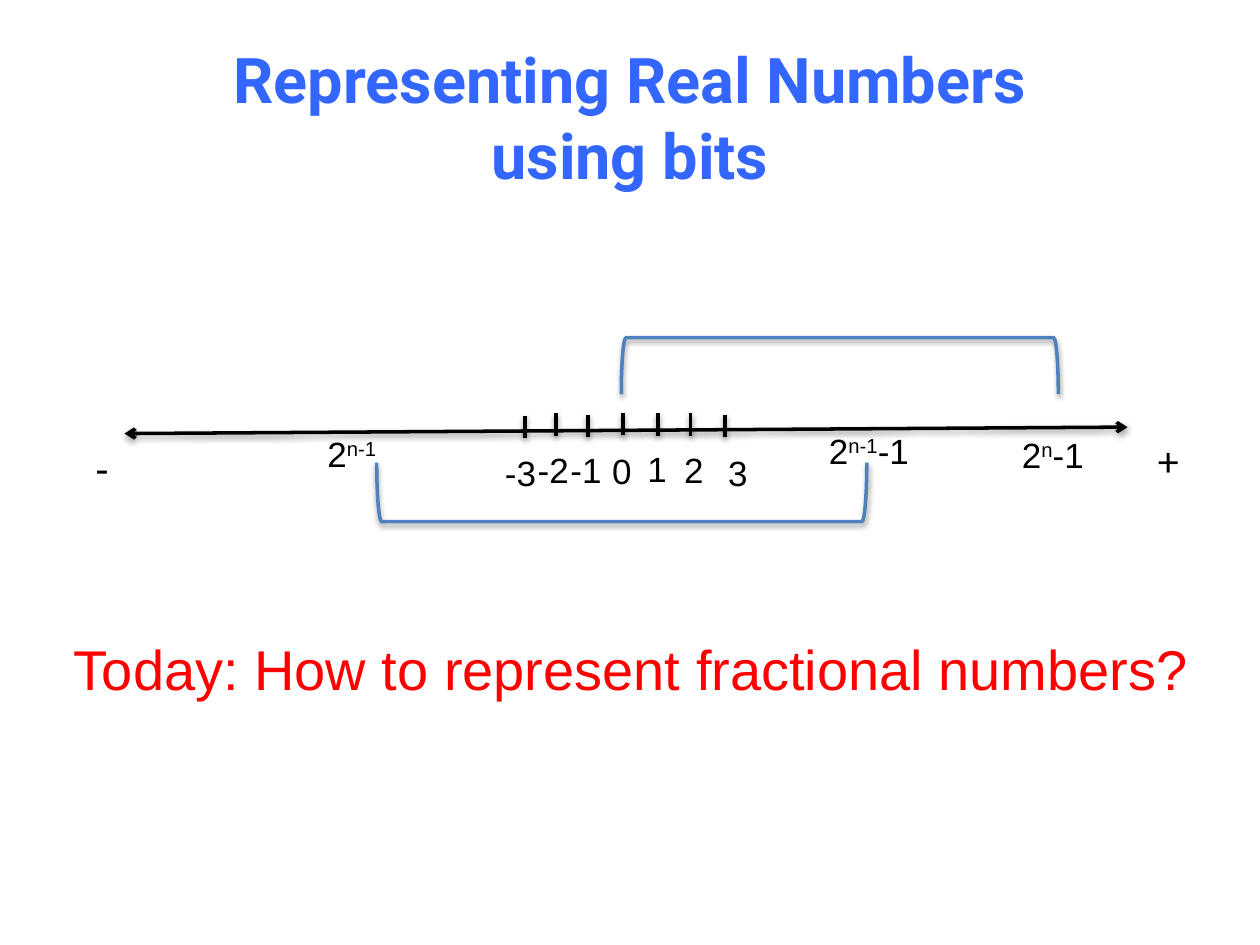
"""Build a slide showing integer ranges on a number line."""
from lxml.etree import SubElement as Sub
from pptx import Presentation
from pptx.dml.color import RGBColor as Rgb
from pptx.enum.shapes import MSO_CONNECTOR as Link, MSO_SHAPE as Form
from pptx.enum.text import MSO_ANCHOR as Anchor, PP_ALIGN as Align
from pptx.oxml.ns import qn
from pptx.util import Cm, Pt

BLACK, BLUE, RED, STEEL = "000000", "3366FF", "FF0000", "4F81BD"
TITLE = "Representing Real Numbers\vusing bits"
TODAY = "Today: How to represent fractional numbers?"
AXIS = (2.51, 8.74, 22.73, 8.61)
TICK = 0.45
ROW = 1.12

# label, tick x, tick top, label left, label top, label width, wrap
TICKS = [
    ("-3", 10.59, 8.38, 9.93, 8.97, 1.27, True),
    ("-2", 11.2, 8.33, 10.59, 8.92, 1.27, True),
    ("-1", 11.86, 8.36, 11.25, 8.92, 1.32, True),
    ("0", 12.55, 8.32, 12.09, 8.94, 0.91, False),
    ("1", 13.26, 8.33, 12.8, 8.89, 0.91, False),
    ("2", 13.92, 8.33, 13.54, 8.92, 0.89, True),
    ("3", 14.61, 8.36, 14.43, 8.97, 0.76, True),
]
SIGNS = [("-", 1.68, 8.79, 0.76), ("+", 23.09, 8.64, 0.94)]
POWERS = [
    (("2", "n-1", ""), 6.35, 8.59, 1.98),
    (("2", "n-1", "-1"), 16.46, 8.53, 2.95),
    (("2", "n", "-1"), 20.35, 8.61, 1.98),
]
SPANS = [((11.94, 4.98, 1.19, 9.88), True), ((16.36, 2.97, 1.14, 8.81), False)]


def tint(code):
    return Rgb.from_string(code)


def style(para, size, code, face="Arial", bold=False):
    for run in para.runs:
        font = run.font
        font.size, font.name, font.bold = Pt(size), face, bold
        font.color.rgb = tint(code)


def label(slide, text, box, size=20, code=BLACK, face="Arial", bold=False, wrap=True):
    frame = slide.shapes.add_textbox(*map(Cm, box)).text_frame
    frame.text = text
    frame.word_wrap = wrap
    style(frame.paragraphs[0], size, code, face, bold)
    return frame


def power(slide, parts, box):
    base, top, tail = parts
    para = label(slide, base, box).paragraphs[0]
    run = para.add_run()
    run.text = top
    run._r.get_or_add_rPr().set("baseline", "30000")
    if tail:
        para.add_run().text = tail
    style(para, 20, BLACK)


def shade(shape):
    props = shape._element.spPr
    for old in props.findall(qn("a:effectLst")):
        props.remove(old)
    drop = Sub(Sub(props, qn("a:effectLst")), qn("a:outerShdw"), blurRad="40000",
               dist="20000", dir="5400000", rotWithShape="0")
    hue = Sub(drop, qn("a:srgbClr"), val=BLACK)
    Sub(hue, qn("a:alpha"), val="38000")


def stroke(shape, code, width):
    shape.line.color.rgb = tint(code)
    shape.line.width = Pt(width)
    shade(shape)


def rule(slide, ends, width):
    line = slide.shapes.add_connector(Link.STRAIGHT, *map(Cm, ends))
    stroke(line, BLACK, width)
    return line


def span(slide, box, flip):
    shape = slide.shapes.add_shape(Form.RIGHT_BRACKET, *map(Cm, box))
    shape.rotation = 270
    if flip:
        shape._element.spPr.xfrm.set("flipH", "1")
    shape.fill.background()
    stroke(shape, STEEL, 2)


def main():
    deck = Presentation()
    deck.slide_width, deck.slide_height = Cm(25.4), Cm(19.05)
    slide = deck.slides.add_slide(deck.slide_layouts[6])

    title = label(slide, TITLE, (1.27, 0.76, 22.86, 3.18), 36, BLUE, "Roboto", True)
    title.vertical_anchor = Anchor.MIDDLE
    title.paragraphs[0].alignment = Align.CENTER
    label(slide, TODAY, (1.24, 12.67, 23.19, 1.63), 32, RED, wrap=False)

    axis = rule(slide, AXIS, 2)
    for end in ("a:headEnd", "a:tailEnd"):
        Sub(axis.line._get_or_add_ln(), qn(end), type="arrow")
    for text, x, top, left, low, wide, wrap in TICKS:
        rule(slide, (x, top + TICK, x, top), 2.25)
        label(slide, text, (left, low, wide, ROW), wrap=wrap)
    for text, left, top, wide in SIGNS:
        label(slide, text, (left, top, wide, 1.27), 24, face="Calibri", wrap=False)
    for parts, left, top, wide in POWERS:
        power(slide, parts, (left, top, wide, ROW))
    for box, flip in SPANS:
        span(slide, box, flip)
    deck.save("out.pptx")


if __name__ == "__main__":
    main()
